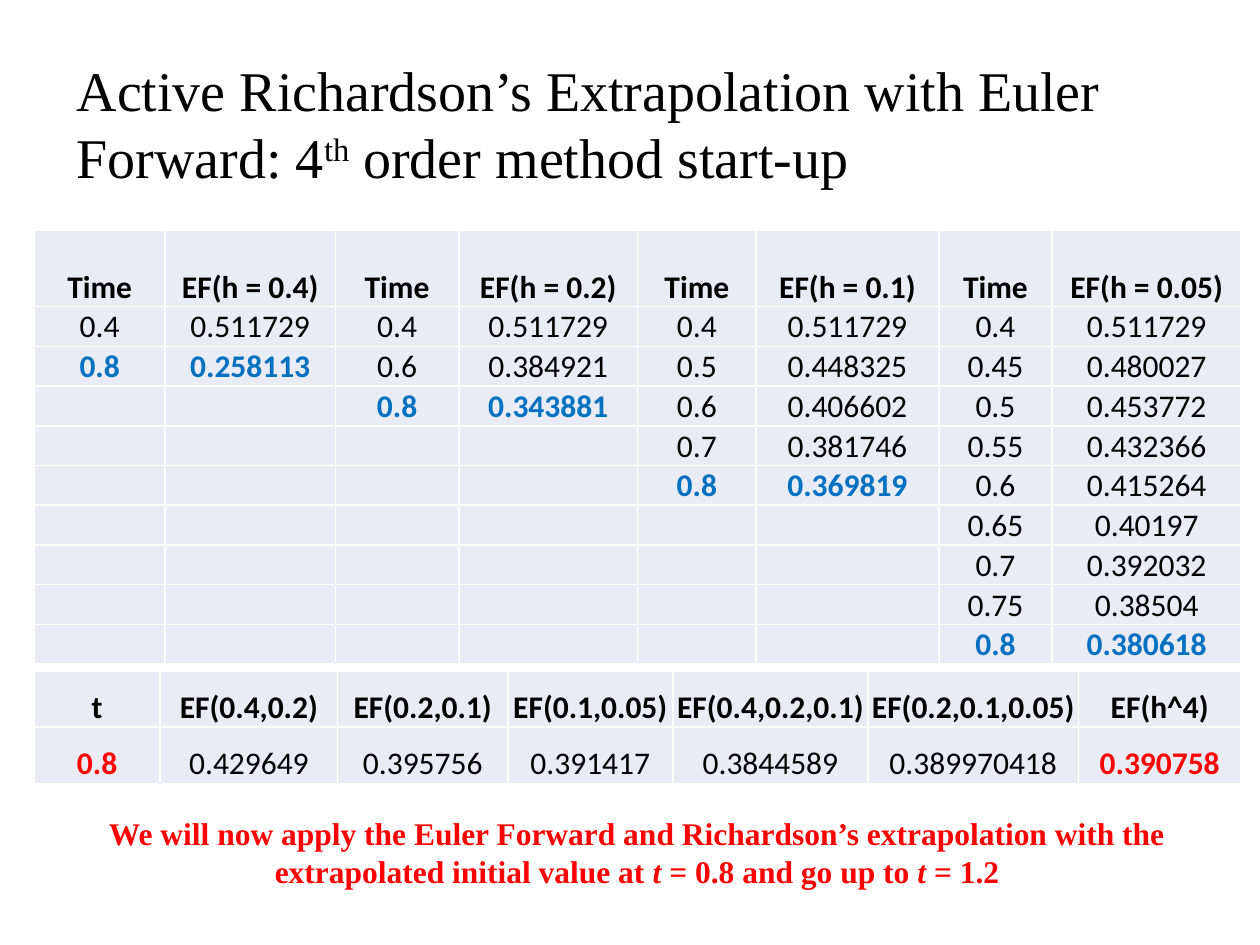
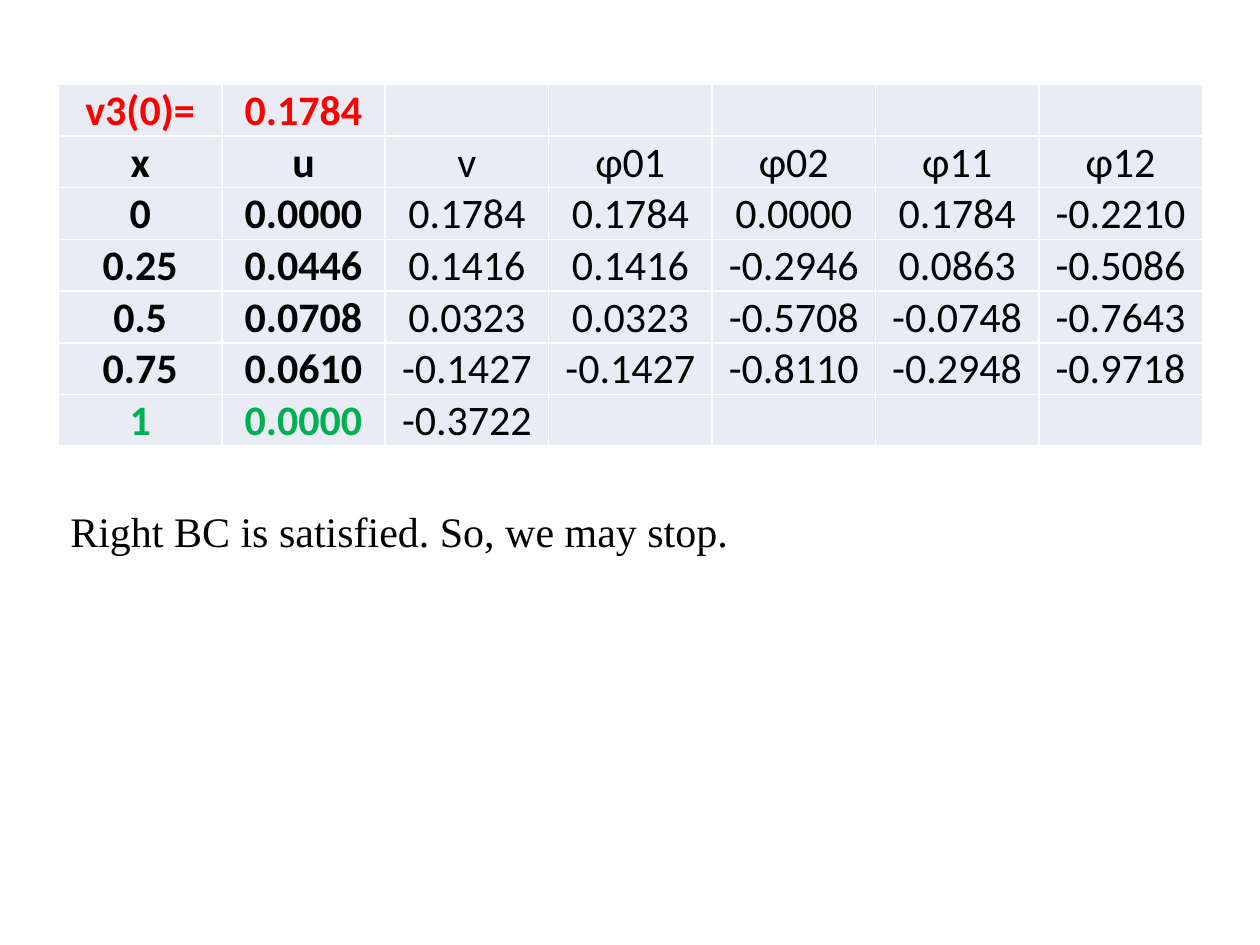
from dataclasses import dataclass
from lxml.etree import SubElement
from pptx import Presentation
from pptx.dml.color import RGBColor
from pptx.enum.text import MSO_ANCHOR, PP_ALIGN
from pptx.oxml.ns import qn
from pptx.slide import Slide
from pptx.table import _Cell
from pptx.util import Pt

BLACK = RGBColor(0, 0, 0)
WHITE = RGBColor(255, 255, 255)
RED = RGBColor(255, 0, 0)
BLUE = RGBColor(0, 112, 192)
GREEN = RGBColor(0, 176, 80)
PALE = RGBColor(233, 235, 245)
SERIF = "Times New Roman"
SANS = "Calibri"
EDGES = ("a:lnL", "a:lnR", "a:lnT", "a:lnB")


@dataclass
class Entry:
    text: str = ""
    color: RGBColor = BLACK
    bold: bool = False


@dataclass
class Grid:
    left: float
    top: float
    widths: list[float]
    heights: list[float]
    size: float
    rows: list[list[Entry]]


@dataclass
class Phrase:
    text: str
    italic: bool = False
    raised: bool = False


@dataclass
class Note:
    left: float
    top: float
    width: float
    height: float
    size: float
    phrases: list[Phrase]
    color: RGBColor = BLACK
    bold: bool = False
    align: PP_ALIGN = PP_ALIGN.LEFT


def add_edges(cell: _Cell) -> None:
    props = cell._tc.get_or_add_tcPr()
    for edge in EDGES:
        line = SubElement(props, qn(edge), w=str(Pt(1)))
        fill = SubElement(line, qn("a:solidFill"))
        SubElement(fill, qn("a:srgbClr"), val=str(WHITE))


def fill_cell(cell: _Cell, entry: Entry, size: float) -> None:
    add_edges(cell)
    cell.fill.solid()
    cell.fill.fore_color.rgb = PALE
    cell.vertical_anchor = MSO_ANCHOR.BOTTOM
    cell.margin_left = cell.margin_right = cell.margin_top = Pt(0.72)
    cell.margin_bottom = Pt(0)
    if not entry.text:
        return
    cell.text_frame.text = entry.text
    para = cell.text_frame.paragraphs[0]
    para.alignment = PP_ALIGN.CENTER
    font = para.runs[0].font
    font.name, font.size, font.bold = SANS, Pt(size), entry.bold
    font.color.rgb = entry.color


def add_grid(slide: Slide, grid: Grid) -> None:
    frame = slide.shapes.add_table(
        len(grid.heights), len(grid.widths), Pt(grid.left), Pt(grid.top),
        Pt(sum(grid.widths)), Pt(sum(grid.heights)))
    table = frame.table
    table.first_row = table.horz_banding = False
    for col, width in zip(table.columns, grid.widths):
        col.width = Pt(width)
    for row, height, entries in zip(table.rows, grid.heights, grid.rows):
        row.height = Pt(height)
        for cell, entry in zip(row.cells, entries):
            fill_cell(cell, entry, grid.size)


def add_note(slide: Slide, note: Note) -> None:
    box = slide.shapes.add_textbox(
        Pt(note.left), Pt(note.top), Pt(note.width), Pt(note.height))
    box.text_frame.word_wrap = True
    para = box.text_frame.paragraphs[0]
    para.alignment = note.align
    for phrase in note.phrases:
        run = para.add_run()
        run.text = phrase.text
        font = run.font
        font.name, font.size = SERIF, Pt(note.size)
        font.bold, font.italic = note.bold, phrase.italic
        font.color.rgb = note.color
        if phrase.raised:
            run._r.get_or_add_rPr().set("baseline", "30000")


def euler_rows() -> list[list[Entry]]:
    series = {
        0.4: ["0.511729", "0.258113"],
        0.2: ["0.511729", "0.384921", "0.343881"],
        0.1: ["0.511729", "0.448325", "0.406602", "0.381746", "0.369819"],
        0.05: ["0.511729", "0.480027", "0.453772", "0.432366", "0.415264",
               "0.40197", "0.392032", "0.38504", "0.380618"],
    }
    count = max(map(len, series.values()))
    rows: list[list[Entry]] = [[] for _ in range(count + 1)]
    for step, values in series.items():
        rows[0] += [Entry("Time", bold=True),
                    Entry(f"EF(h = {step})", bold=True)]
        for k, row in enumerate(rows[1:]):
            if k >= len(values):
                row += [Entry(), Entry()]
                continue
            last = k == len(values) - 1
            color = BLUE if last else BLACK
            time = f"{0.4 + k * step:.2g}"
            row += [Entry(text, color, last) for text in (time, values[k])]
    return rows


def blend_rows() -> list[list[Entry]]:
    heads = ["t", "EF(0.4,0.2)", "EF(0.2,0.1)", "EF(0.1,0.05)",
             "EF(0.4,0.2,0.1)", "EF(0.2,0.1,0.05)", "EF(h^4)"]
    values = ["0.429649", "0.395756", "0.391417", "0.3844589", "0.389970418"]
    return [
        [Entry(head, bold=True) for head in heads],
        [Entry("0.8", RED, True), *map(Entry, values),
         Entry("0.390758", RED, True)],
    ]


def shoot_rows() -> list[list[Entry]]:
    lines = [
        "v3(0)= 0.1784",
        "x u v φ01 φ02 φ11 φ12",
        "0 0.0000 0.1784 0.1784 0.0000 0.1784 -0.2210",
        "0.25 0.0446 0.1416 0.1416 -0.2946 0.0863 -0.5086",
        "0.5 0.0708 0.0323 0.0323 -0.5708 -0.0748 -0.7643",
        "0.75 0.0610 -0.1427 -0.1427 -0.8110 -0.2948 -0.9718",
        "1 0.0000 -0.3722",
    ]
    tints = {0: RED, len(lines) - 1: GREEN}
    rows = []
    for k, line in enumerate(lines):
        texts = line.split()
        row = [Entry(text, tints.get(k, BLACK) if col < 2 else BLACK, col < 2)
               for col, text in enumerate(texts)]
        rows.append(row + [Entry()] * (7 - len(row)))
    return rows


def draw_start(slide: Slide) -> None:
    add_grid(slide, Grid(
        19.5, 131.3, [74.9, 97.2, 70.6, 102.2, 67.7, 104.4, 64.8, 108],
        [43.9] + [22.69] * 9, 18, euler_rows()))
    add_grid(slide, Grid(
        19.5, 383.3, [72, 101.5, 97.2, 94.3, 111.6, 120.2, 92.9],
        [32.2] * 2, 18, blend_rows()))
    add_note(slide, Note(36.7, 28.1, 645.8, 85, 32, [
        Phrase("Active Richardson’s Extrapolation with Euler Forward: 4"),
        Phrase("th", raised=True),
        Phrase(" order method start-up")]))
    add_note(slide, Note(52.6, 461.5, 622.8, 51.1, 18, [
        Phrase("We will now apply the Euler Forward and Richardson’s "
               "extrapolation with the extrapolated initial value at "),
        Phrase("t", italic=True),
        Phrase(" = 0.8 and go up to "),
        Phrase("t", italic=True),
        Phrase(" = 1.2")], RED, True, PP_ALIGN.CENTER))


def draw_stop(slide: Slide) -> None:
    add_note(slide, Note(33.1, 285.1, 653.8, 36, 24, [
        Phrase("Right BC is satisfied. So, we may stop.")]))
    add_grid(slide, Grid(
        33.4, 48.2, [93.4] * 7, [29.5] * 7, 24, shoot_rows()))


def main() -> None:
    deck = Presentation()
    deck.slide_width, deck.slide_height = Pt(720), Pt(540)
    for draw in (draw_start, draw_stop):
        draw(deck.slides.add_slide(deck.slide_layouts[6]))
    deck.save("out.pptx")


if __name__ == "__main__":
    main()
